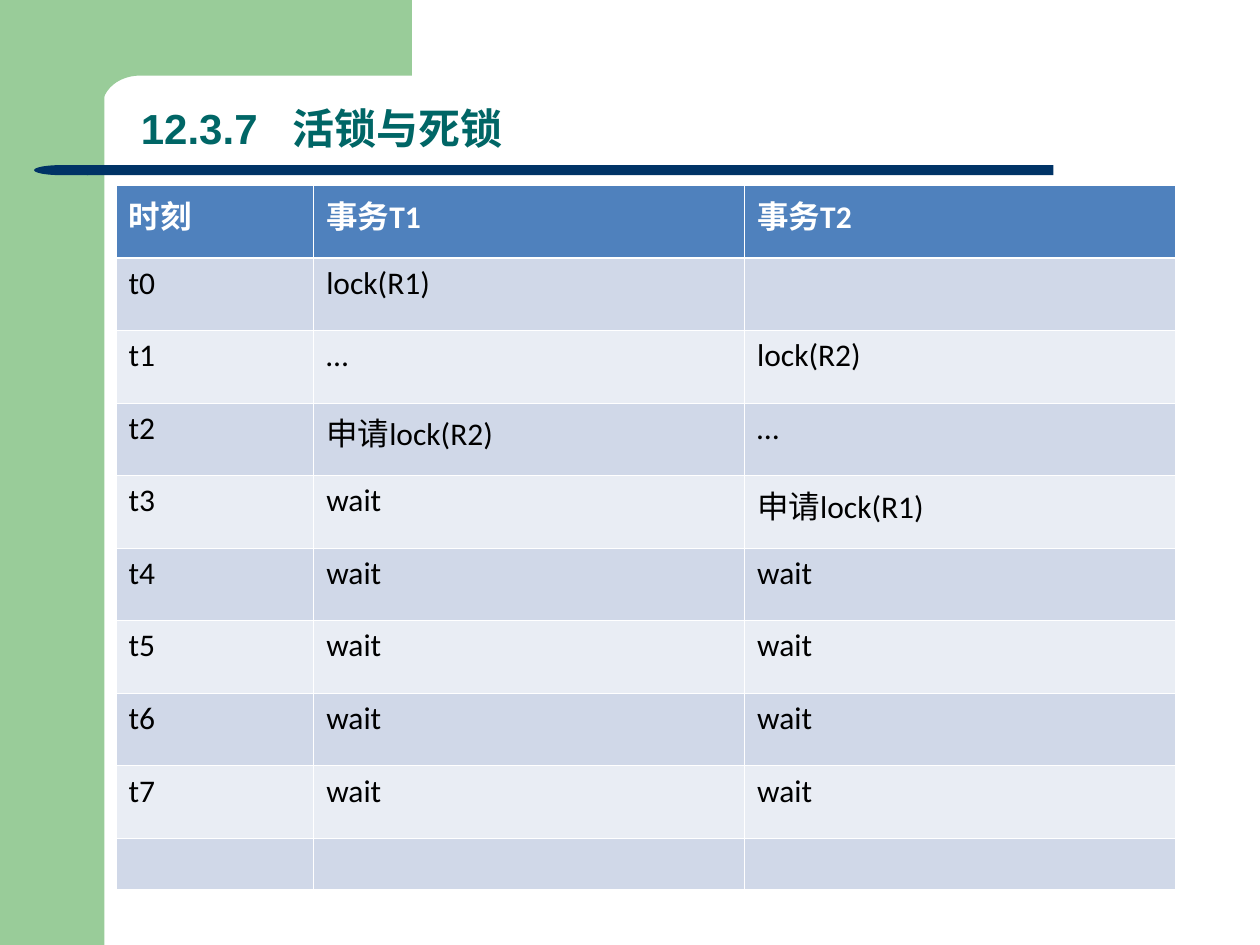
from dataclasses import dataclass
from math import cos, pi, sin

from lxml import etree
from pptx import Presentation
from pptx.dml.color import RGBColor
from pptx.enum.shapes import MSO_SHAPE
from pptx.enum.text import MSO_ANCHOR
from pptx.oxml.ns import qn
from pptx.util import Inches, Pt

RECTANGLE = MSO_SHAPE.RECTANGLE
ROUNDED_RECTANGLE = MSO_SHAPE.ROUNDED_RECTANGLE
DELAY = MSO_SHAPE.FLOWCHART_DELAY
BOTTOM = MSO_ANCHOR.BOTTOM

# The slide is a grid of 100 columns by 75 rows of square units
UNIT = Inches(0.1)
GRID_COLUMNS, GRID_ROWS = 100, 75


@dataclass(frozen=True)
class Theme:
    green: str = "99CC99"
    navy: str = "003366"
    title: str = "006666"
    header: str = "4F81BD"
    bands: tuple = ("D0D8E8", "E9EDF4")
    white: str = "FFFFFF"
    text: str = "000000"
    title_font: str = "Arial"
    table_font: str = "Calibri"
    title_size: float = 24
    table_size: float = 18
    thin_border: float = 0.45
    header_border: float = 1.47


THEME = Theme()

TITLE = "12.3.7\t活锁与死锁"
TABLE_ROWS = [
    ("时刻", "事务T1", "事务T2"),
    ("t0", "lock(R1)", ""),
    ("t1", "…", "lock(R2)"),
    ("t2", "申请lock(R2)", "…"),
    ("t3", "wait", "申请lock(R1)"),
    *[(f"t{moment}", "wait", "wait") for moment in range(4, 8)],
    ("", "", ""),
]
COLUMN_WIDTHS = [15.7, 34.2, 34.2]
ROW_HEIGHT, LAST_ROW_HEIGHT = 5.76, 4.05


def grid(*lengths):
    return [round(length * UNIT) for length in lengths]


def paint(shape, color):
    shape.shadow.inherit = False
    shape.fill.solid()
    shape.fill.fore_color.rgb = RGBColor.from_string(color)
    shape.line.fill.background()


def add_block(slide, kind, box, color):
    shape = slide.shapes.add_shape(kind, *grid(*box))
    paint(shape, color)
    return shape


def add_corner(slide, color):
    """Top band whose inner corner is an elliptical arc."""
    center_x, center_y, radius_x, radius_y = 11.1, 8.5, 3, 2.5
    steps = 12
    angles = [pi / 2 * step / steps for step in range(steps + 1)]
    arc = [(center_x - radius_x * sin(angle), center_y - radius_y * cos(angle))
           for angle in angles]
    outline = [(32.7, 6), *arc, (8.1, 9.1), (5, 9.1), (5, 0)]
    builder = slide.shapes.build_freeform(*grid(32.7, 0), scale=1.0)
    builder.add_line_segments([grid(*point) for point in outline], close=True)
    paint(builder.convert_to_shape(), color)


def style_text(paragraph, name, size, color, bold):
    font = paragraph.font
    font.name, font.size, font.bold = name, Pt(size), bold
    font.color.rgb = RGBColor.from_string(color)


def add_tab_stop(paragraph, position):
    properties = paragraph._p.get_or_add_pPr()
    tabs = etree.SubElement(properties, qn("a:tabLst"))
    etree.SubElement(tabs, qn("a:tab"), pos=str(grid(position)[0]), algn="l")


def add_title(slide, text, box):
    frame = slide.shapes.add_textbox(*grid(*box)).text_frame
    frame.word_wrap = True
    frame.vertical_anchor = BOTTOM
    paragraph = frame.paragraphs[0]
    paragraph.text = text
    paragraph.line_spacing = 0.9
    add_tab_stop(paragraph, 12)
    style_text(paragraph, THEME.title_font, THEME.title_size, THEME.title, True)


def set_borders(cell, top, bottom):
    properties = cell._tc.get_or_add_tcPr()
    widths = {"lnL": THEME.thin_border, "lnR": THEME.thin_border,
              "lnT": top, "lnB": bottom}
    for side, width in widths.items():
        line = etree.SubElement(properties, qn(f"a:{side}"), w=str(Pt(width)))
        fill = etree.SubElement(line, qn("a:solidFill"))
        etree.SubElement(fill, qn("a:srgbClr"), val=THEME.white)


def fill_cell(cell, text, row):
    is_header = row == 0
    set_borders(cell,
                top=THEME.header_border if row == 1 else THEME.thin_border,
                bottom=THEME.header_border if is_header else THEME.thin_border)
    cell.fill.solid()
    color = THEME.header if is_header else THEME.bands[(row - 1) % 2]
    cell.fill.fore_color.rgb = RGBColor.from_string(color)
    paragraph = cell.text_frame.paragraphs[0]
    if text:
        paragraph.text = text
    style_text(paragraph, THEME.table_font, THEME.table_size,
               THEME.white if is_header else THEME.text, is_header)


def add_schedule(slide, rows, left, top):
    heights = [ROW_HEIGHT] * (len(rows) - 1) + [LAST_ROW_HEIGHT]
    box = grid(left, top, sum(COLUMN_WIDTHS), sum(heights))
    table = slide.shapes.add_table(len(rows), len(COLUMN_WIDTHS), *box).table
    for column, width in zip(table.columns, grid(*COLUMN_WIDTHS)):
        column.width = width
    for table_row, height in zip(table.rows, grid(*heights)):
        table_row.height = height
    for row, texts in enumerate(rows):
        for column, text in enumerate(texts):
            fill_cell(table.cell(row, column), text, row)


def main():
    presentation = Presentation()
    presentation.slide_width, presentation.slide_height = grid(GRID_COLUMNS, GRID_ROWS)
    slide = presentation.slides.add_slide(presentation.slide_layouts[6])

    # Green frame
    add_block(slide, RECTANGLE, (0, 0, 8.3, GRID_ROWS), THEME.green)
    add_corner(slide, THEME.green)

    # Title rule with a rounded left end
    rule = add_block(slide, ROUNDED_RECTANGLE, (6.9, 13.1, 76.7, 0.8), THEME.navy)
    rule.adjustments[0] = 0
    rule_end = add_block(slide, DELAY, (2.7, 13.1, 4.3, 0.8), THEME.navy)
    rule_end.rotation = 180

    # Title and lock schedule
    add_title(slide, TITLE, (10.2, 7.2, 81.9, 5.5))
    add_schedule(slide, TABLE_ROWS, left=9.2, top=14.7)

    presentation.save("out.pptx")


if __name__ == "__main__":
    main()
